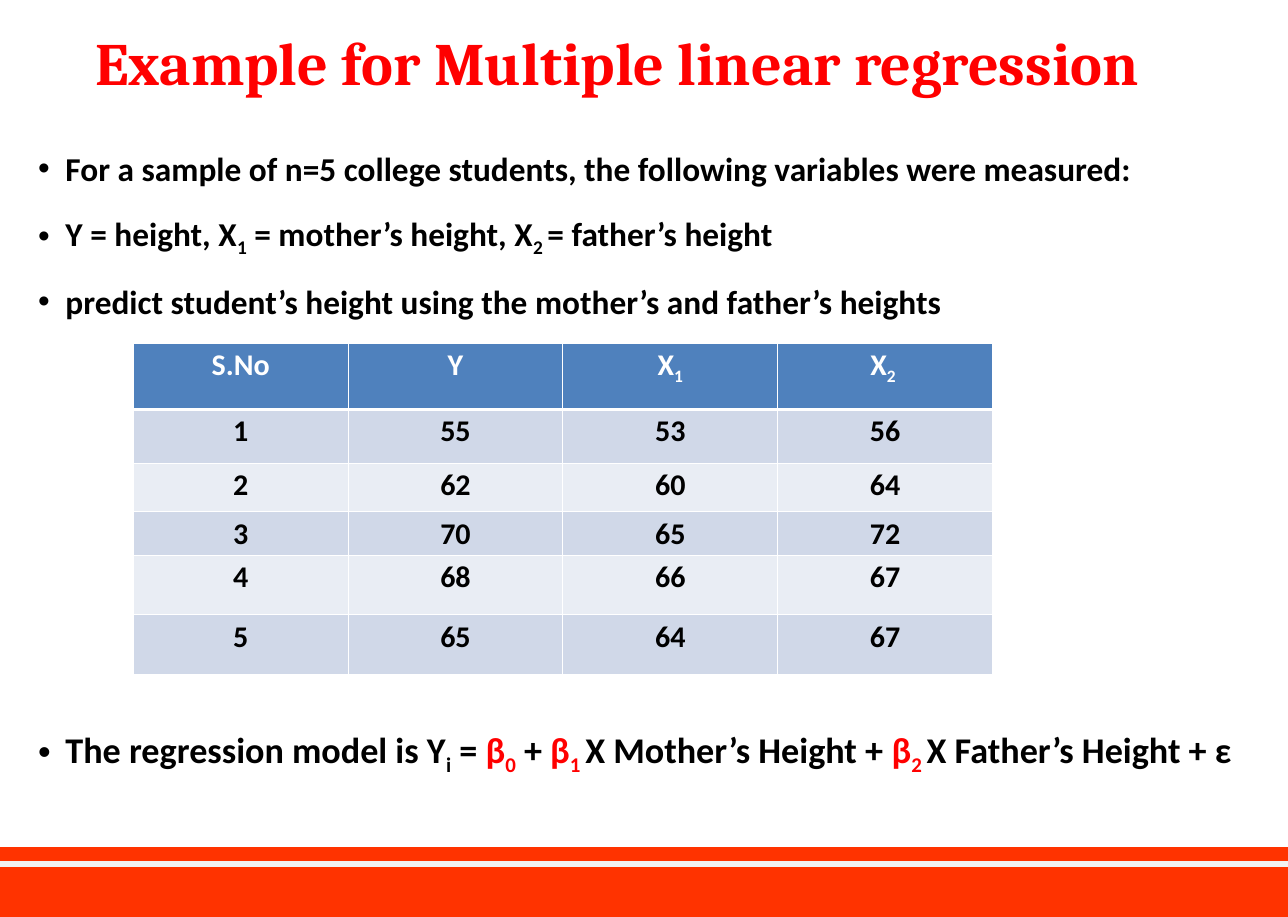
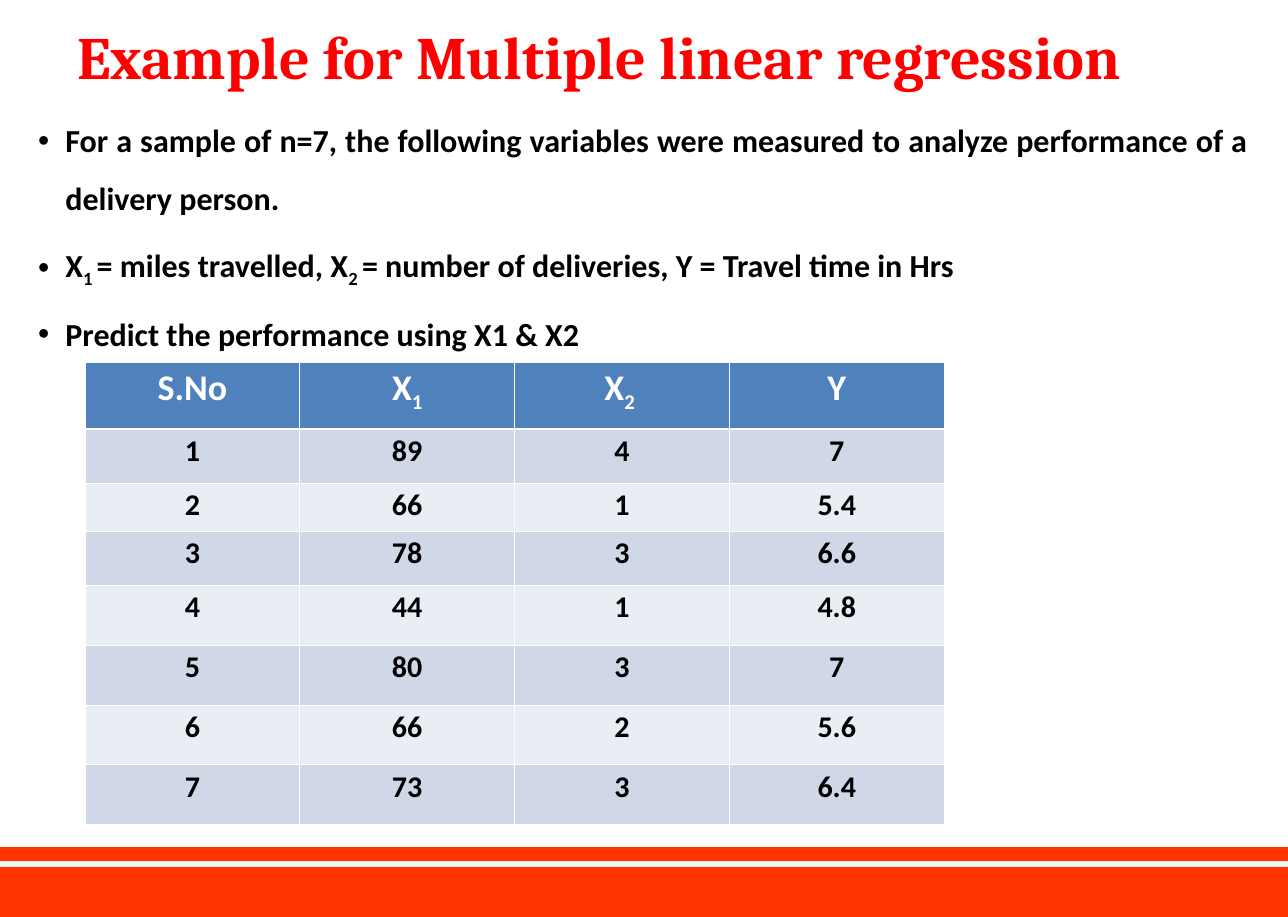
from lxml import etree
from pptx import Presentation
from pptx import util as u
from pptx.dml.color import RGBColor
from pptx.enum import shapes, text
from pptx.oxml import ns

# Shared style
RED = RGBColor(0xFF, 0x00, 0x00)
BLACK = RGBColor(0x00, 0x00, 0x00)
WHITE = RGBColor(0xFF, 0xFF, 0xFF)
BAND = RGBColor(0xFF, 0x33, 0x00)
BAND_LINE = RGBColor(0xF2, 0xF2, 0xF2)
HEADER = RGBColor(0x4F, 0x81, 0xBD)
STRIPES = (RGBColor(0xD0, 0xD8, 0xE8), RGBColor(0xE9, 0xED, 0xF4))
TITLE_FONT, BODY_FONT = "Cambria", "Calibri"
WIDTH, HEIGHT = 17.87, 12.72
COLUMN_WIDTH = 2.98


def format_font(font, name, size, color):
    font.name, font.size, font.bold = name, u.Pt(size), True
    font.color.rgb = color


def write_spans(para, marked, size, color):
    """Write bold spans: *red* words and ~subscript~ characters."""
    for i, part in enumerate(marked.split("*")):
        for j, piece in enumerate(part.split("~")):
            if not piece:
                continue
            span = para.add_run()
            span.text = piece
            format_font(span.font, BODY_FONT, size, RED if i % 2 else color)
            if j % 2:
                span._r.get_or_add_rPr().set("baseline", "-25000")


def add_text_box(page, left, top, width, height):
    box = page.shapes.add_textbox(*map(u.Inches, (left, top, width, height)))
    box.text_frame.word_wrap = True
    return box.text_frame


def add_footer(page):
    left, top = -0.03, 11.75
    band = page.shapes.add_shape(
        shapes.MSO_SHAPE.RECTANGLE, u.Inches(left), u.Inches(top),
        u.Inches(WIDTH - left), u.Inches(HEIGHT - top))
    band.shadow.inherit = False
    band.fill.solid()
    band.fill.fore_color.rgb = BAND
    band.line.fill.background()
    line_y = u.Inches(top + 0.24)
    stripe = page.shapes.add_connector(
        shapes.MSO_CONNECTOR.STRAIGHT, u.Inches(left), line_y, u.Inches(WIDTH), line_y)
    stripe.line.color.rgb = BAND_LINE
    stripe.line.width = u.Pt(6)
    etree.SubElement(stripe._element.spPr, ns.qn("a:effectLst"))


def add_title(page, left, top):
    frame = add_text_box(page, left, top, 16.08, 1.16)
    frame.vertical_anchor = text.MSO_ANCHOR.MIDDLE
    frame.text = "Example for Multiple linear regression"
    para = frame.paragraphs[0]
    para.alignment = text.PP_ALIGN.CENTER
    format_font(para.runs[0].font, TITLE_FONT, 60, RED)


def add_bullets(page, top, height, line_spacing, bullets):
    """Each bullet is (marked text, size, space before in points)."""
    frame = add_text_box(page, 0.43, top, 17, height)
    for index, (marked, size, gap) in enumerate(bullets):
        para = frame.add_paragraph() if index else frame.paragraphs[0]
        para.alignment = text.PP_ALIGN.JUSTIFY
        para.line_spacing = line_spacing
        para.space_before = u.Pt(gap)
        write_spans(para, marked, size, BLACK)
        props = para._p.get_or_add_pPr()
        props.set("marL", str(u.Inches(0.38)))
        props.set("indent", str(u.Inches(-0.38)))
        etree.SubElement(props, ns.qn("a:buFont"), typeface="Arial")
        etree.SubElement(props, ns.qn("a:buChar"), char="•")


def set_borders(cell, bottom_width):
    props = cell._tc.get_or_add_tcPr()
    widths = {"a:lnL": 1, "a:lnR": 1, "a:lnT": 1, "a:lnB": bottom_width}
    for position, (tag, width) in enumerate(widths.items()):
        edge = etree.Element(ns.qn(tag), w=str(u.Pt(width)))
        fill = etree.SubElement(edge, ns.qn("a:solidFill"))
        etree.SubElement(fill, ns.qn("a:srgbClr"), val=str(WHITE))
        props.insert(position, edge)


def add_data_table(page, left, top, row_heights, header_size, rows):
    columns = len(rows[0])
    table = page.shapes.add_table(
        len(rows), columns, u.Inches(left), u.Inches(top),
        u.Inches(COLUMN_WIDTH * columns), u.Inches(sum(row_heights))).table
    for column in table.columns:
        column.width = u.Inches(COLUMN_WIDTH)
    for r, (values, height) in enumerate(zip(rows, row_heights)):
        table.rows[r].height = u.Inches(height)
        is_header = r == 0
        for c, value in enumerate(values):
            cell = table.cell(r, c)
            cell.fill.solid()
            cell.fill.fore_color.rgb = HEADER if is_header else STRIPES[(r - 1) % 2]
            set_borders(cell, 3 if is_header or r == 1 and False else 1)
            if r == 1:
                # The rule under the header is shared with the first data row
                cell._tc.tcPr.find(ns.qn("a:lnT")).set("w", str(u.Pt(3)))
            para = cell.text_frame.paragraphs[0]
            para.alignment = text.PP_ALIGN.CENTER
            write_spans(para, str(value), header_size if is_header else 30,
                        WHITE if is_header else BLACK)


def height_example(page):
    add_footer(page)
    add_title(page, 0.52, 0.28)
    # The last bullet stands below the table
    add_bullets(page, 1.78, 9.33, 1.4, [
        ("For a sample of n=5 college students, the following variables were measured: ",
         33.3, 6.7),
        ("Y = height, X~1~ = mother’s height, X~2 ~= father’s height", 33.3, 6.7),
        ("predict student’s height using the mother’s and father’s heights", 33.3, 6.7),
        ("The regression model is Y~i~ = *β~0~* + *β~1 ~*X Mother’s Height + "
         "*β~2 ~*X Father’s Height + ε", 36.1, 386),
    ])
    add_data_table(page, 1.85, 4.76, (0.92, 0.75, 0.67, 0.58, 0.83, 0.83), 30, [
        ("S.No", "Y", "X~1~", "X~2 ~"),
        (1, 55, 53, 56),
        (2, 62, 60, 64),
        (3, 70, 65, 72),
        (4, 68, 66, 67),
        (5, 65, 64, 67),
    ])


def delivery_example(page):
    add_footer(page)
    add_title(page, 0.27, 0.19)
    add_bullets(page, 1.36, 3.58, 1.5, [
        ("For a sample of n=7, the following variables were measured to analyze "
         "performance of a delivery person.", 32, 6.4),
        ("X~1 ~= miles travelled, X~2 ~= number of deliveries, Y = Travel time in Hrs ",
         32, 6.4),
        ("Predict the performance using X1 & X2", 32, 6.4),
    ])
    add_data_table(page, 1.18, 5.03, (0.92, 0.75, 0.67, 0.75) + (0.83,) * 4, 36, [
        ("S.No", "X~1~", "X~2 ~", "Y"),
        (1, 89, 4, 7),
        (2, 66, 1, 5.4),
        (3, 78, 3, 6.6),
        (4, 44, 1, 4.8),
        (5, 80, 3, 7),
        (6, 66, 2, 5.6),
        (7, 73, 3, 6.4),
    ])


deck = Presentation()
deck.slide_width, deck.slide_height = u.Inches(WIDTH), u.Inches(HEIGHT)
for build in (height_example, delivery_example):
    build(deck.slides.add_slide(deck.slide_layouts[6]))
deck.save("out.pptx")
